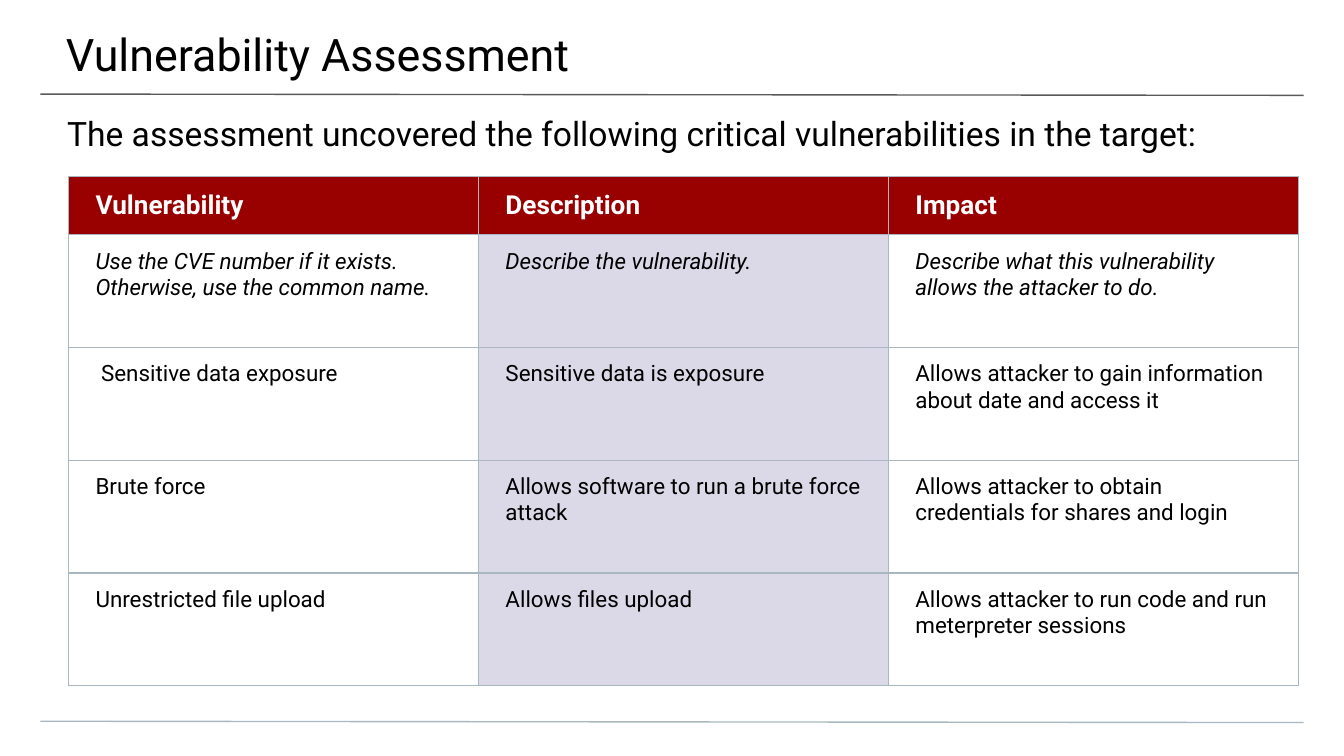
from dataclasses import dataclass

from lxml.etree import SubElement
from pptx import Presentation
from pptx.dml.color import RGBColor
from pptx.enum.shapes import MSO_CONNECTOR
from pptx.enum.text import MSO_ANCHOR
from pptx.oxml.ns import qn
from pptx.util import Pt


@dataclass(frozen=True)
class Theme:
    font: str = "Roboto"
    ink: str = "000000"
    white: str = "FFFFFF"
    header_fill: str = "990000"
    accent_fill: str = "DBD9E8"
    title_rule: str = "595959"
    grid: str = "A9B7C0"
    line_width: float = 0.75
    title_size: int = 24
    subtitle_size: int = 18
    header_size: int = 14
    body_size: int = 12


HEADERS = ["Vulnerability", "Description", "Impact"]
GUIDANCE = [
    "Use the CVE number if it exists. Otherwise, use the common name.",
    "Describe the vulnerability.",
    "Describe what this vulnerability allows the attacker to do.",
]
FINDINGS = [
    [" Sensitive data exposure", "Sensitive data is exposure",
     "Allows attacker to gain information about date and access it"],
    ["Brute force", "Allows software to run a brute force attack",
     "Allows attacker to obtain credentials for shares and login"],
    ["Unrestricted file upload", "Allows files upload",
     "Allows attacker to run code and run meterpreter sessions"],
]
MARGIN_NAMES = ["margin_left", "margin_top", "margin_right", "margin_bottom"]


def set_margins(target, margins):
    for name, value in zip(MARGIN_NAMES, margins):
        setattr(target, name, Pt(value))


class SlideBuilder:
    def __init__(self, slide, theme):
        self.slide = slide
        self.theme = theme

    def add_span(self, frame, text, color, **formats):
        span = frame.paragraphs[0].add_run()
        span.text = text
        span.font.color.rgb = RGBColor.from_string(color)
        for name, value in {"name": self.theme.font, **formats}.items():
            setattr(span.font, name, value)

    def rule(self, start, end, color):
        line = self.slide.shapes.add_connector(
            MSO_CONNECTOR.STRAIGHT, *map(Pt, start + end))
        line.line.color.rgb = RGBColor.from_string(color)
        line.line.width = Pt(self.theme.line_width)
        SubElement(line._element.spPr, qn("a:effectLst"))

    def text(self, bounds, margins, text, size):
        box = self.slide.shapes.add_textbox(*map(Pt, bounds))
        frame = box.text_frame
        frame.word_wrap = True
        frame.vertical_anchor = MSO_ANCHOR.TOP
        set_margins(frame, margins)
        self.add_span(frame, text, self.theme.ink, size=Pt(size))

    def borders(self, cell):
        properties = cell._tc.get_or_add_tcPr()
        for side in ("lnL", "lnR", "lnT", "lnB"):
            edge = SubElement(properties, qn(f"a:{side}"),
                              w=str(Pt(self.theme.line_width)))
            fill = SubElement(edge, qn("a:solidFill"))
            SubElement(fill, qn("a:srgbClr"), val=self.theme.grid)

    def cell(self, cell, text, fill, color, anchor, **formats):
        self.borders(cell)
        if fill:
            cell.fill.solid()
            cell.fill.fore_color.rgb = RGBColor.from_string(fill)
        else:
            cell.fill.background()
        cell.vertical_anchor = anchor
        set_margins(cell, (14.4, 7.2, 14.4, 7.2))
        self.add_span(cell.text_frame, text, color, **formats)

    def table(self, left, top, column_width, header_height, row_height, rows):
        theme = self.theme
        heights = [header_height] + [row_height] * (len(rows) - 1)
        columns = len(rows[0])
        table = self.slide.shapes.add_table(
            len(rows), columns, Pt(left), Pt(top),
            Pt(column_width * columns), Pt(sum(heights))).table
        for column in table.columns:
            column.width = Pt(column_width)
        for r, (values, height) in enumerate(zip(rows, heights)):
            table.rows[r].height = Pt(height)
            for c, value in enumerate(values):
                if r == 0:
                    self.cell(table.cell(r, c), value, theme.header_fill,
                              theme.white, MSO_ANCHOR.MIDDLE,
                              size=Pt(theme.header_size), bold=True)
                else:
                    fill = theme.accent_fill if c == 1 else None
                    self.cell(table.cell(r, c), value, fill, theme.ink,
                              MSO_ANCHOR.TOP, size=Pt(theme.body_size),
                              bold=False, italic=r == 1)


def main():
    deck = Presentation()
    deck.slide_width, deck.slide_height = Pt(720), Pt(405)
    theme = Theme()
    page = SlideBuilder(deck.slides.add_slide(deck.slide_layouts[6]), theme)

    page.rule((21.6, 50.4), (698.4, 51.1), theme.title_rule)
    page.rule((21.6, 386.4), (698.4, 387.1), theme.grid)
    page.text((-0.7, 0, 722, 42), (36, 14.4, 21.6, 7.2),
              "Vulnerability Assessment", theme.title_size)
    page.text((0, 53.3, 720, 28.8), (36, 7.2, 36, 0),
              "The assessment uncovered the following critical "
              "vulnerabilities in the target:", theme.subtitle_size)
    page.table(36.8, 94.6, 219.6, 31, 60.4, [HEADERS, GUIDANCE, *FINDINGS])
    deck.save("out.pptx")


if __name__ == "__main__":
    main()
